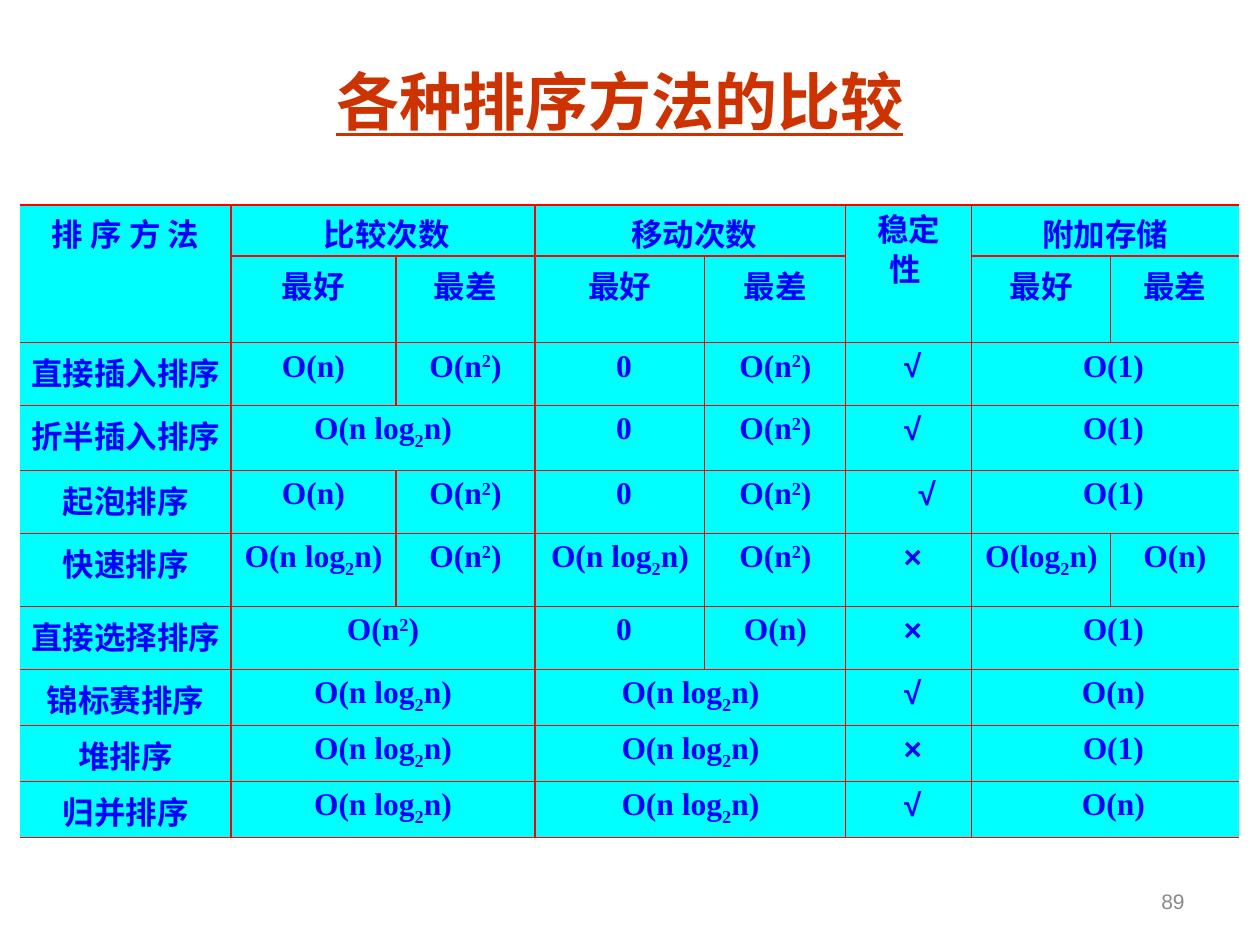
import pptx
import pptx.util
import pptx.dml.color
import pptx.enum.text
import pptx.oxml
import pptx.oxml.ns

PX = 914400 // 126
COLORS = {"title": "CC3300", "text": "0000FF", "cell": "00FFFF", "border": "FF0000", "number": "898989"}
CENTER = pptx.enum.text.PP_ALIGN.CENTER
COLUMNS = [211, 165, 139, 170, 141, 126, 139, 128]
ROWS = [51, 87, 63, 65, 63, 73, 63, 56, 56, 56]
HEADER_ROWS = 2
STABILITY = 5
STORAGE = 6
SPACE = 8
LOG = "O(n log_2n)"
SQUARE = "O(n^2)"
MERGED = None
GRID = [
    ["排 序 方 法", "比较次数", MERGED, "移动次数", MERGED, "稳定\n性", "附加存储", MERGED],
    ["", "最好", "最差", "最好", "最差", "", "最好", "最差"],
    ["直接插入排序", "O(n)", SQUARE, "0", SQUARE, "√", "O(1)", MERGED],
    ["折半插入排序", LOG, MERGED, "0", SQUARE, "√", "O(1)", MERGED],
    ["起泡排序", "O(n)", SQUARE, "0", SQUARE, "√", "O(1)", MERGED],
    ["快速排序", LOG, SQUARE, LOG, SQUARE, "×", "O(log_2n)", "O(n)"],
    ["直接选择排序", SQUARE, MERGED, "0", "O(n)", "×", "O(1)", MERGED],
    ["锦标赛排序", LOG, MERGED, LOG, MERGED, "√", "O(n)", MERGED],
    ["堆排序", LOG, MERGED, LOG, MERGED, "×", "O(1)", MERGED],
    ["归并排序", LOG, MERGED, LOG, MERGED, "√", "O(n)", MERGED],
]
BUBBLE_ROW = 4
BASELINES = {"^": "30000", "_": "-25000"}


def px(n):
    return pptx.util.Emu(n * PX)


def rgb(name):
    return pptx.dml.color.RGBColor.from_string(COLORS[name])


def place(s, left, top, width, height):
    s.left, s.top, s.width, s.height = map(px, (left, top, width, height))


def style(p, font, size, color, align, bold=False, underline=None):
    p.alignment = align
    p.font.name = font
    p.font.size = pptx.util.Pt(size)
    p.font.bold = bold
    p.font.underline = underline
    p.font.color.rgb = rgb(color)


def add_runs(p, text):
    for mark in BASELINES:
        text = text.replace(mark + "2", f"|{mark}2|")
    for part in text.split("|"):
        r = p.add_run()
        r.text = part.lstrip("^_")
        if part[:1] in BASELINES:
            r.font._element.set("baseline", BASELINES[part[0]])


def set_borders(cell, col):
    open_sides = {0: "lnL", len(COLUMNS) - 1: "lnR"}
    if cell.is_merge_origin and col + cell.span_width == len(COLUMNS):
        open_sides[col] = "lnR"
    tc_pr = cell._tc.get_or_add_tcPr()
    for i, side in enumerate(("lnL", "lnR", "lnT", "lnB")):
        paint = f'<a:solidFill><a:srgbClr val="{COLORS["border"]}"/></a:solidFill>'
        if open_sides.get(col) == side:
            paint = "<a:noFill/>"
        tc_pr.insert(i, pptx.oxml.parse_xml(
            f'<a:{side} {pptx.oxml.ns.nsdecls("a")} w="9525">{paint}</a:{side}>'))


def cell_font(row, col):
    if row < HEADER_ROWS or col == 0:
        return "Arial Narrow"
    return "Arial" if col == STABILITY else "Times New Roman"


def cell_indent(row, col, text):
    if row < HEADER_ROWS:
        return SPACE if text in ("比较次数", "移动次数") else 0
    if col == STABILITY:
        return 37 if row == BUBBLE_ROW else SPACE
    if col == STORAGE and GRID[row][col + 1] is MERGED:
        return 2 * SPACE
    return SPACE if text == "0" else 0


def fill_cell(cell, row, col):
    cell.margin_left = cell.margin_right = px(10)
    cell.margin_top = px(5 if row == 0 else 6)
    cell.margin_bottom = px(0 if row < HEADER_ROWS else 3)
    cell.fill.solid()
    cell.fill.fore_color.rgb = rgb("cell")
    set_borders(cell, col)
    text = GRID[row][col]
    if not text:
        return
    tf = cell.text_frame
    lines = text.split("\n")
    for i, line in enumerate(lines):
        p = tf.add_paragraph() if i else tf.paragraphs[0]
        style(p, cell_font(row, col), 18, "text", CENTER, bold=True)
        p_pr = p._p.get_or_add_pPr()
        p_pr.set("marL", str(px(cell_indent(row, col, text))))
        if len(lines) > 1:
            p.line_spacing = pptx.util.Pt(23)
        if i:
            p_pr.set("marR", str(px(SPACE)))
        add_runs(p, line)


def add_comparison_table(slide):
    frame = slide.shapes.add_table(len(ROWS), len(COLUMNS), px(20), px(205), px(sum(COLUMNS)), px(sum(ROWS)))
    table = frame.table
    for column, width in zip(table.columns, COLUMNS):
        column.width = px(width)
    for row, height in zip(table.rows, ROWS):
        row.height = px(height)
    for row, texts in enumerate(GRID):
        for col, text in enumerate(texts):
            if text is MERGED:
                table.cell(row, col - 1).merge(table.cell(row, col))
    for col in (0, STABILITY):
        table.cell(0, col).merge(table.cell(1, col))
    for row in range(len(ROWS)):
        for col in range(len(COLUMNS)):
            fill_cell(table.cell(row, col), row, col)


def add_title(slide):
    s = slide.shapes.title
    place(s, 200, 42, 840, 116)
    s.text_frame.vertical_anchor = pptx.enum.text.MSO_ANCHOR.MIDDLE
    p = s.text_frame.paragraphs[0]
    p.text = "各种排序方法的比较"
    style(p, "Calibri", 36, "title", CENTER, bold=True, underline=True)


def add_page_number(slide):
    s = slide.shapes.add_textbox(0, 0, 0, 0)
    place(s, 903, 876, 294, 50)
    tf = s.text_frame
    tf.word_wrap = True
    tf.vertical_anchor = pptx.enum.text.MSO_ANCHOR.MIDDLE
    p = tf.paragraphs[0]
    p.text = "89"
    style(p, "Arial", 12, "number", pptx.enum.text.PP_ALIGN.RIGHT)


def main():
    prs = pptx.Presentation()
    prs.slide_width, prs.slide_height = px(1260), px(945)
    slide = prs.slides.add_slide(prs.slide_layouts[5])
    add_comparison_table(slide)
    add_page_number(slide)
    add_title(slide)
    prs.save("out.pptx")


if __name__ == "__main__":
    main()
